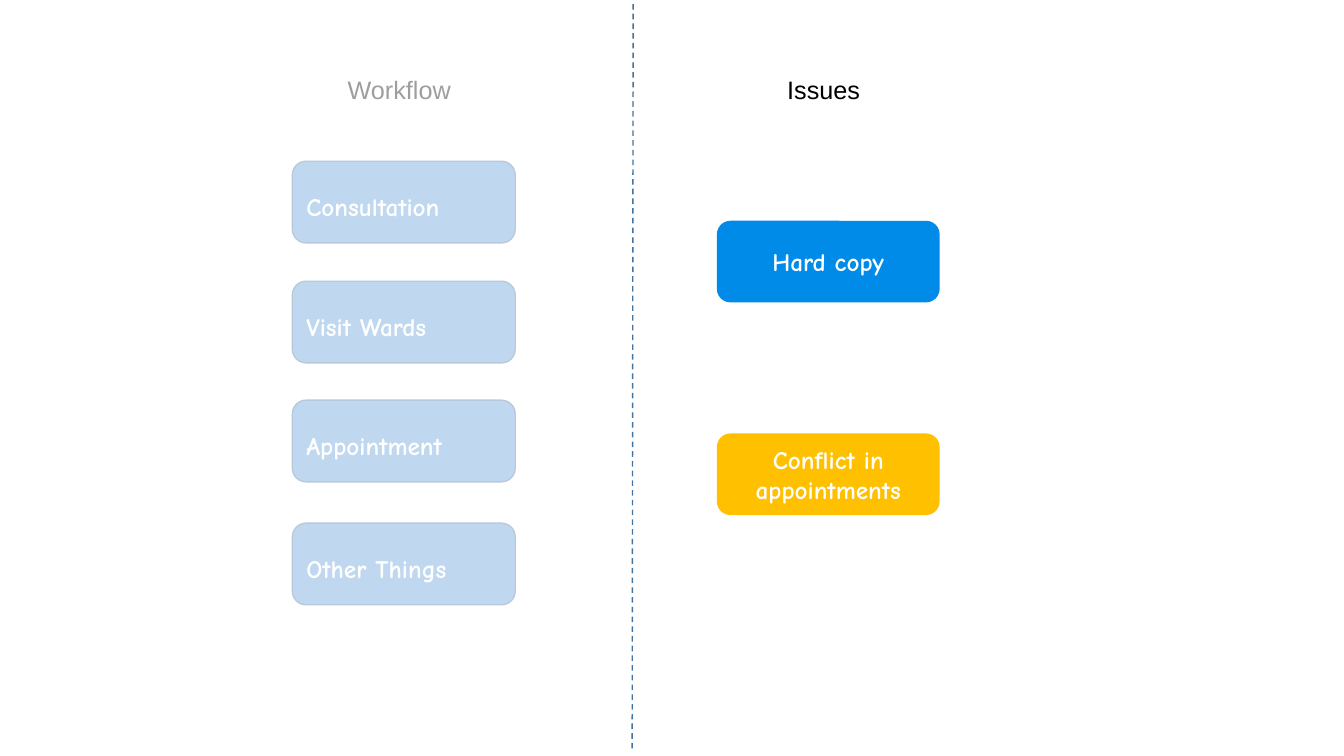
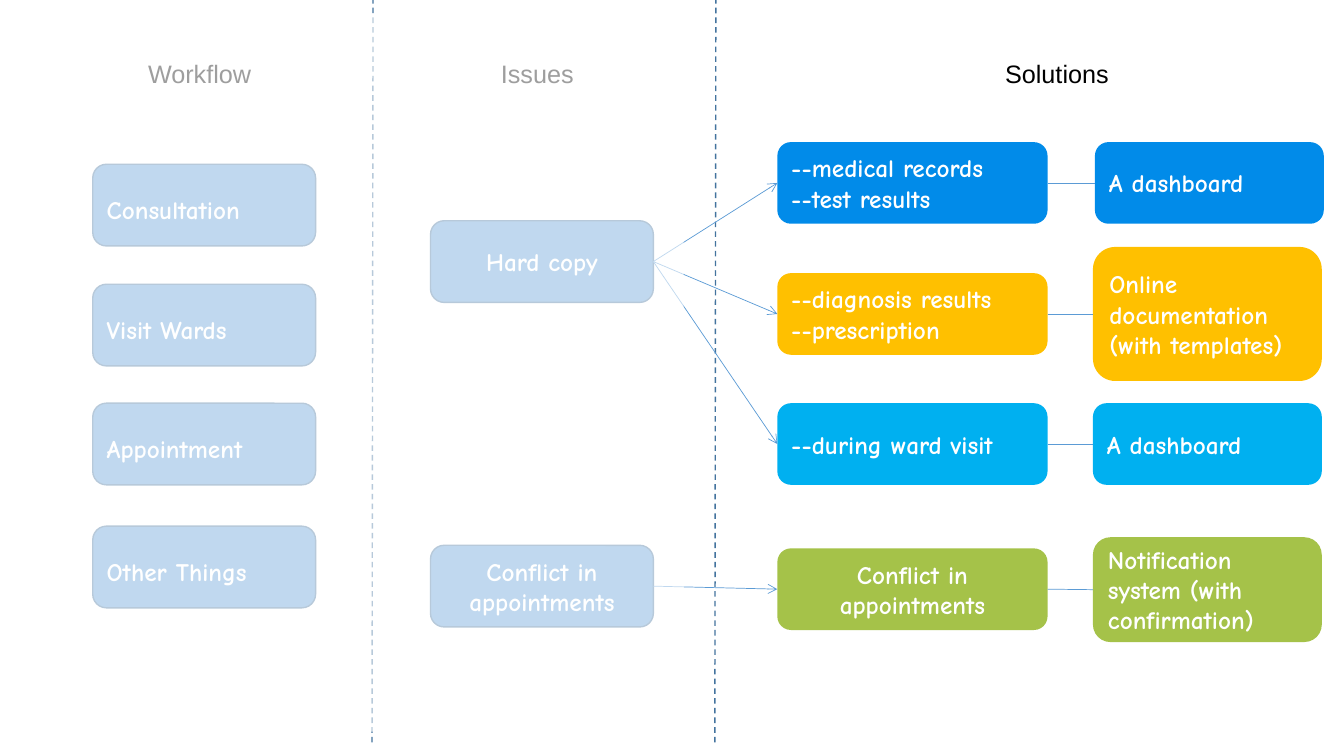
from dataclasses import dataclass
from typing import Optional

from pptx import Presentation
from pptx.dml.color import RGBColor
from pptx.enum.dml import MSO_LINE
from pptx.enum.shapes import MSO_CONNECTOR, MSO_SHAPE
from pptx.enum.text import MSO_ANCHOR, MSO_AUTO_SIZE, PP_ALIGN
from pptx.oxml.ns import qn
from pptx.shapes.autoshape import Shape
from pptx.shapes.connector import Connector
from pptx.slide import Slide
from pptx.text.text import TextFrame
from pptx.util import Inches, Pt
from lxml.etree import SubElement

WHITE, BLACK = "FFFFFF", "000000"
STEEL, STEEL_EDGE = "5B9BD5", "43739E"
BLUE, AMBER, CYAN, GREEN = "018BE9", "FFC000", "00B0F0", "A5C249"
HEADING_FONT, BOX_FONT = "Arial", "Comic Neue"
BOX_HEIGHT, STEP_WIDTH, SOLUTION_WIDTH, TOOL_WIDTH = 0.81, 2.21, 2.68, 2.27
VEIL_TOP, VEIL_HEIGHT, VEIL_ALPHA = 0.13, 7.13, "62000"
LEFT_SITE, RIGHT_SITE = 1, 3
WORKFLOW_STEPS = {"Consultation": 0, "Visit Wards": 1.19, "Appointment": 2.37, "Other Things": 3.59}


@dataclass(frozen=True)
class Box:
    text: str
    left: float
    top: float
    width: float
    fill: str
    height: float = BOX_HEIGHT
    edge: Optional[str] = None
    align: PP_ALIGN = PP_ALIGN.LEFT
    spacing: Optional[float] = None


def color(value: str) -> RGBColor:
    return RGBColor.from_string(value)


def write(frame: TextFrame, text: str, *, font: str, ink: str, bold: bool = False,
          align: PP_ALIGN = PP_ALIGN.LEFT, spacing: Optional[float] = None) -> None:
    frame.word_wrap = True
    for index, line in enumerate(text.split("\n")):
        para = frame.add_paragraph() if index else frame.paragraphs[0]
        para.alignment = align
        para.line_spacing = spacing
        span = para.add_run()
        span.text = line
        span.font.name = font
        span.font.size = Pt(18)
        span.font.bold = bold
        span.font.color.rgb = color(ink)


def draw_shape(page: Slide, kind: MSO_SHAPE, left: float, top: float, width: float,
               height: float, fill: str, edge: Optional[str] = None) -> Shape:
    shape = page.shapes.add_shape(kind, Inches(left), Inches(top), Inches(width), Inches(height))
    shape.shadow.inherit = False
    shape.fill.solid()
    shape.fill.fore_color.rgb = color(fill)
    if edge:
        shape.line.color.rgb = color(edge)
        shape.line.width = Pt(1)
    else:
        shape.line.fill.background()
    return shape


def draw_box(page: Slide, box: Box) -> Shape:
    shape = draw_shape(page, MSO_SHAPE.ROUNDED_RECTANGLE, box.left, box.top, box.width,
                       box.height, box.fill, box.edge)
    shape.text_frame.vertical_anchor = MSO_ANCHOR.MIDDLE
    write(shape.text_frame, box.text, font=BOX_FONT, ink=WHITE, bold=True,
          align=box.align, spacing=box.spacing)
    return shape


def draw_heading(page: Slide, text: str, left: float, top: float, width: float) -> None:
    heading = page.shapes.add_textbox(Inches(left), Inches(top), Inches(width), Inches(0.4))
    heading.text_frame.auto_size = MSO_AUTO_SIZE.SHAPE_TO_FIT_TEXT
    write(heading.text_frame, text, font=HEADING_FONT, ink=BLACK)


def draw_line(page: Slide, left: float, top: float, right: float, bottom: float,
              ink: str, width: float) -> Connector:
    line = page.shapes.add_connector(MSO_CONNECTOR.STRAIGHT, Inches(left), Inches(top),
                                     Inches(right), Inches(bottom))
    line.line.color.rgb = color(ink)
    line.line.width = Pt(width)
    SubElement(line._element.spPr, qn("a:effectLst"))
    return line


def draw_divider(page: Slide, left: float, top: float) -> None:
    divider = draw_line(page, left, top, left - 0.01, top + 7.42, STEEL_EDGE, 1)
    divider.line.dash_style = MSO_LINE.DASH


def link(page: Slide, start: Shape, end: Shape, arrow: bool = False) -> None:
    connector = draw_line(page, 0, 0, 1, 1, STEEL, 0.5)
    connector.begin_connect(start, RIGHT_SITE)
    connector.end_connect(end, LEFT_SITE)
    if arrow:
        SubElement(connector.line._get_or_add_ln(), qn("a:tailEnd"), type="arrow")


def draw_veil(page: Slide, left: float, width: float) -> None:
    veil = draw_shape(page, MSO_SHAPE.RECTANGLE, left, VEIL_TOP, width, VEIL_HEIGHT, WHITE)
    tint = veil._element.spPr.find(qn("a:solidFill")).find(qn("a:srgbClr"))
    SubElement(tint, qn("a:alpha"), val=VEIL_ALPHA)


def draw_workflow(page: Slide, left: float, top: float, heading_top: float) -> None:
    draw_heading(page, "Workflow", left + 0.45, heading_top, 1.3)
    for step, offset in WORKFLOW_STEPS.items():
        draw_box(page, Box(step, left, top + offset, STEP_WIDTH, STEEL, edge=STEEL_EDGE,
                           align=PP_ALIGN.JUSTIFY, spacing=1.3))


def draw_issues(page: Slide, left: float, conflict_top: float, heading_top: float,
                fills: tuple[str, str], edge: Optional[str] = None) -> list[Shape]:
    draw_heading(page, "Issues", left + 0.6, heading_top, 1.03)
    issues = zip(("Hard copy", "Conflict in appointments"), (2.19, conflict_top), fills)
    return [draw_box(page, Box(text, left, top, STEP_WIDTH, fill, edge=edge,
                               align=PP_ALIGN.CENTER))
            for text, top, fill in issues]


def build_issues_page(page: Slide) -> None:
    draw_issues(page, 7.11, 4.3, 0.69, (BLUE, AMBER))
    draw_workflow(page, 2.9, 1.6, 0.69)
    draw_divider(page, 6.28, 0.04)
    draw_veil(page, 2.05, 3.84)


def build_solutions_page(page: Slide) -> None:
    hard_copy, conflict = draw_issues(page, 4.27, 5.41, 0.53, (STEEL, STEEL), STEEL_EDGE)
    draw_workflow(page, 0.92, 1.63, 0.53)
    draw_heading(page, "Solutions", 9.87, 0.53, 1.48)
    for left in (3.7, 7.1):
        draw_divider(page, left, -0.02)

    solution_left, tool_left = 7.71, 10.84
    rows = (
        (hard_copy,
         Box("--medical records\n--test results", solution_left, 1.41, SOLUTION_WIDTH, BLUE),
         Box("A dashboard", 10.86, 1.41, TOOL_WIDTH, BLUE)),
        (hard_copy,
         Box("--diagnosis results\n--prescription", solution_left, 2.71, SOLUTION_WIDTH, AMBER),
         Box("Online documentation (with templates)", tool_left, 2.45, TOOL_WIDTH, AMBER, 1.33)),
        (hard_copy,
         Box("--during ward visit", solution_left, 4, SOLUTION_WIDTH, CYAN),
         Box("A dashboard", tool_left, 4, TOOL_WIDTH, CYAN)),
        (conflict,
         Box("Conflict in appointments", solution_left, 5.44, SOLUTION_WIDTH, GREEN,
             align=PP_ALIGN.CENTER),
         Box("Notification system (with confirmation)", tool_left, 5.33, TOOL_WIDTH, GREEN, 1.04)),
    )
    for issue, solution, tool in rows:
        solution_shape = draw_box(page, solution)
        tool_shape = draw_box(page, tool)
        link(page, issue, solution_shape, arrow=True)
        link(page, solution_shape, tool_shape)
    draw_veil(page, 0.29, 6.49)


deck = Presentation()
deck.slide_width, deck.slide_height = Inches(13.33), Inches(7.5)
for build in (build_issues_page, build_solutions_page):
    build(deck.slides.add_slide(deck.slide_layouts[6]))
deck.save("out.pptx")
